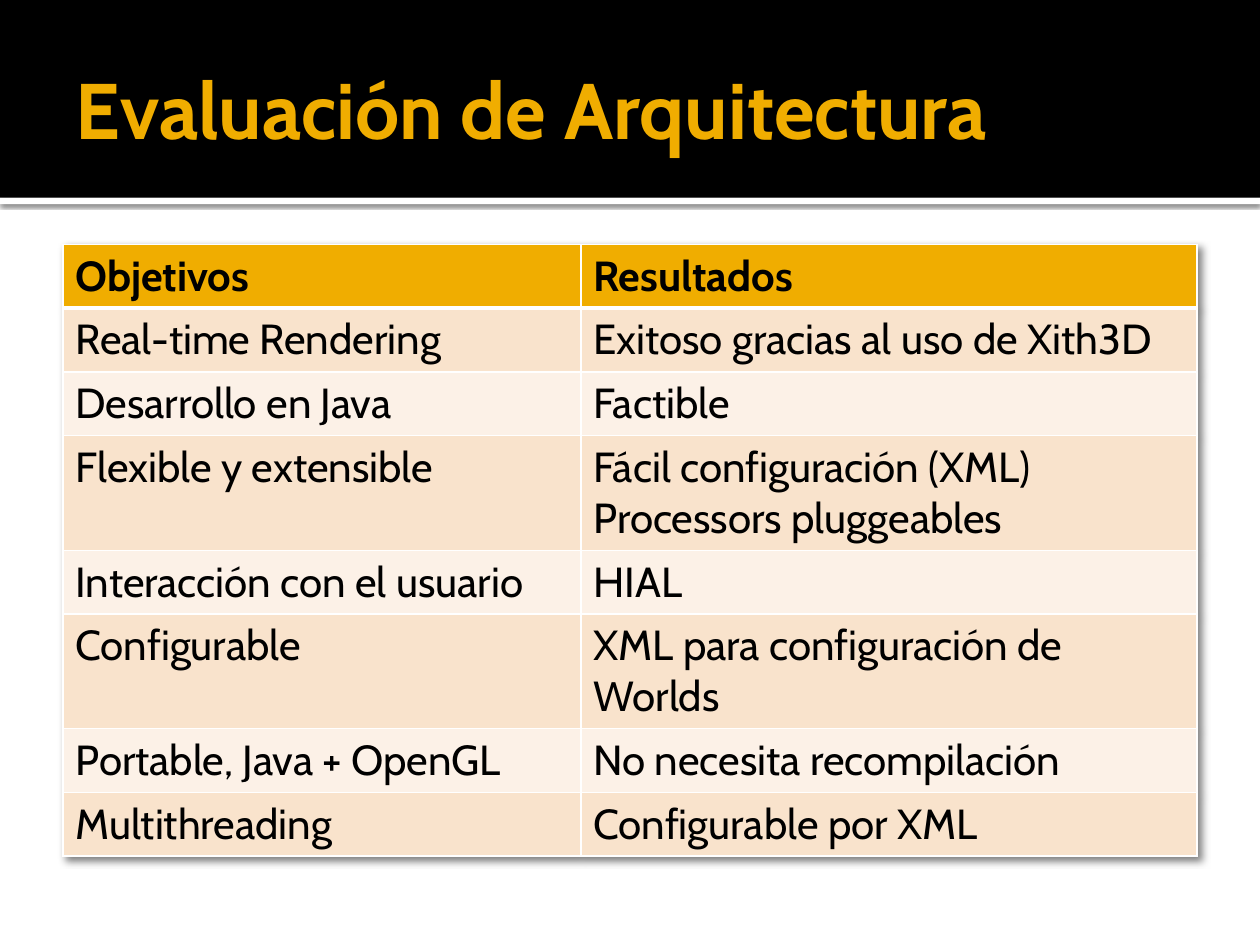
from lxml.etree import SubElement
from pptx import Presentation
from pptx.dml.color import RGBColor
from pptx.enum.shapes import MSO_SHAPE
from pptx.enum.text import MSO_ANCHOR, PP_ALIGN
from pptx.oxml import parse_xml
from pptx.oxml.ns import nsdecls, qn
from pptx.util import Inches, Pt

COLORS = {
    "black": "000000",
    "white": "FFFFFF",
    "amber": "F0AD00",
    "band_dark": "F9E3CC",
    "band_light": "FCF1E7",
}
FONT = "Cabin"
ROWS = [
    ("Objetivos", ["Resultados"]),
    ("Real-time Rendering", ["Exitoso gracias al uso de Xith3D"]),
    ("Desarrollo en Java", ["Factible"]),
    ("Flexible y extensible", ["Fácil configuración (XML)", "Processors pluggeables"]),
    ("Interacción con el usuario", ["HIAL"]),
    ("Configurable", ["XML para configuración de Worlds"]),
    ("Portable, Java + OpenGL", ["No necesita recompilación"]),
    ("Multithreading", ["Configurable por XML"]),
]
TALL_ROWS = ("Flexible y extensible", "Configurable")


def add_text(para, text, size, color, bold):
    para.alignment = PP_ALIGN.LEFT
    span = para.add_run()
    span.text = text
    span.font.name = FONT
    span.font.size = Pt(size)
    span.font.bold = bold
    span.font.color.rgb = RGBColor.from_string(COLORS[color])


def shadow_effect(blur, distance, degrees, opacity):
    return parse_xml(
        f'<a:effectLst {nsdecls("a")}><a:outerShdw blurRad="{Pt(blur)}" '
        f'dist="{Pt(distance)}" dir="{degrees * 60000}" algn="tl" rotWithShape="0">'
        f'<a:srgbClr val="{COLORS["black"]}"><a:alpha val="{opacity * 1000}"/>'
        "</a:srgbClr></a:outerShdw></a:effectLst>"
    )


deck = Presentation()
deck.slide_width = Inches(10)
deck.slide_height = Inches(7.5)
page = deck.slides.add_slide(deck.slide_layouts[5])

bars = [("white", 1.57, 0.05), ("black", 0, 1.57)]
for position, (color, top, height) in enumerate(bars, start=2):
    bar = page.shapes.add_shape(
        MSO_SHAPE.RECTANGLE, 0, Inches(top), Inches(10), Inches(height)
    )
    bar.fill.solid()
    bar.fill.fore_color.rgb = RGBColor.from_string(COLORS[color])
    bar.line.fill.background()
    if color == "white":
        bar._element.spPr.append(shadow_effect(2.5, 0.8, 90, 60))
    else:
        bar.shadow.inherit = False
    page.shapes._spTree.insert(position, bar._element)

title = page.shapes.title
title.left, title.top = Inches(0.5), Inches(0.17)
title.width, title.height = Inches(9), Inches(1.37)
frame = title.text_frame
frame.word_wrap = True
frame.vertical_anchor = MSO_ANCHOR.MIDDLE
frame.margin_left = Inches(0.1)
frame.margin_right = frame.margin_top = frame.margin_bottom = Inches(0.05)
add_text(frame.paragraphs[0], "Evaluación de Arquitectura", 45, "amber", True)

table = page.shapes.add_table(
    len(ROWS), 2, Inches(0.5), Inches(1.94), Inches(9), Inches(4.8)
).table
table._tbl.tblPr.insert(0, shadow_effect(4, 3, 45, 50))
for column, width in zip(table.columns, (4.11, 4.89)):
    column.width = Inches(width)

for row_index, (goal, results) in enumerate(ROWS):
    table.rows[row_index].height = Inches(0.91 if goal in TALL_ROWS else 0.5)
    is_header = row_index == 0
    fill = "amber" if is_header else ("band_light", "band_dark")[row_index % 2]
    borders = {
        "lnL": 1,
        "lnR": 1,
        "lnT": 3 if row_index == 1 else 1,
        "lnB": 3 if is_header else 1,
    }
    for column_index, lines in enumerate(([goal], results)):
        cell = table.cell(row_index, column_index)
        properties = cell._tc.get_or_add_tcPr()
        for side, width in borders.items():
            edge = SubElement(properties, qn(f"a:{side}"), w=str(Pt(width)))
            paint = SubElement(edge, qn("a:solidFill"))
            SubElement(paint, qn("a:srgbClr"), val=COLORS["white"])
        cell.fill.solid()
        cell.fill.fore_color.rgb = RGBColor.from_string(COLORS[fill])
        for line_index, line in enumerate(lines):
            frame = cell.text_frame
            para = frame.add_paragraph() if line_index else frame.paragraphs[0]
            add_text(para, line, 24, "black", is_header)

deck.save("out.pptx")
